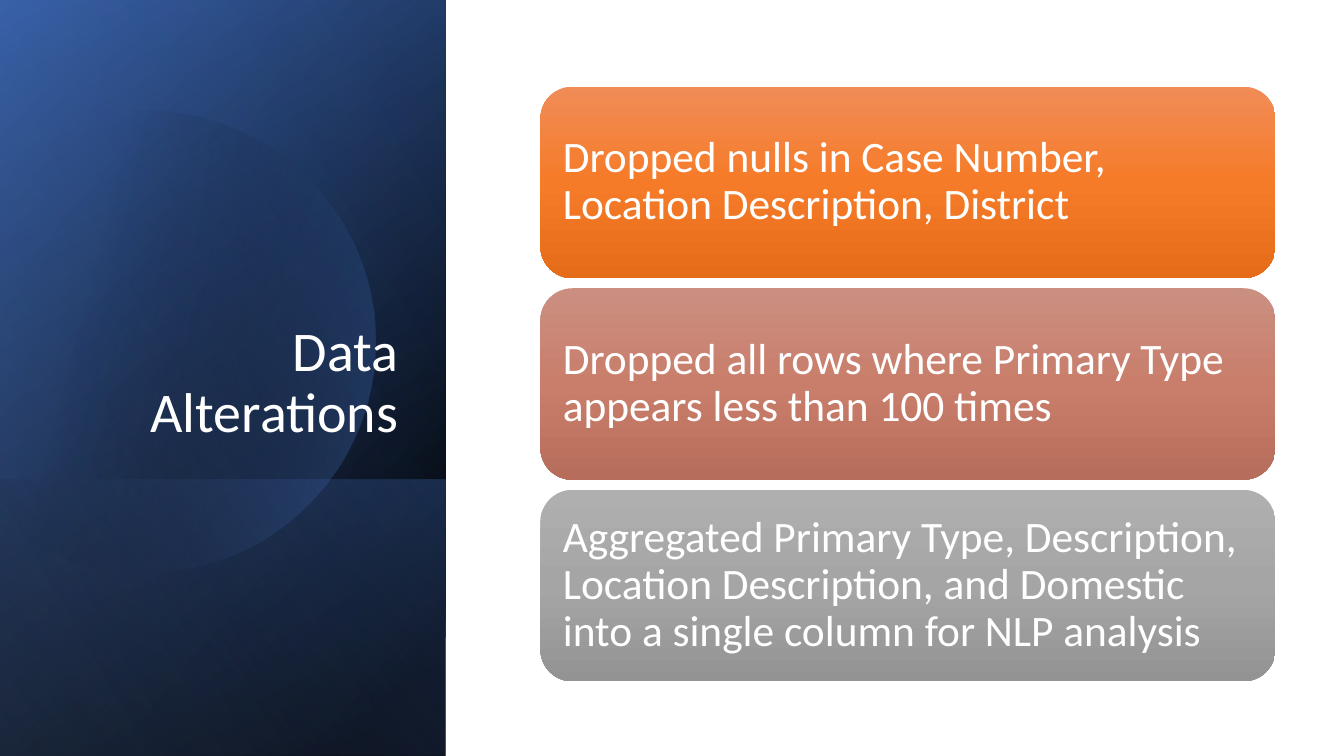
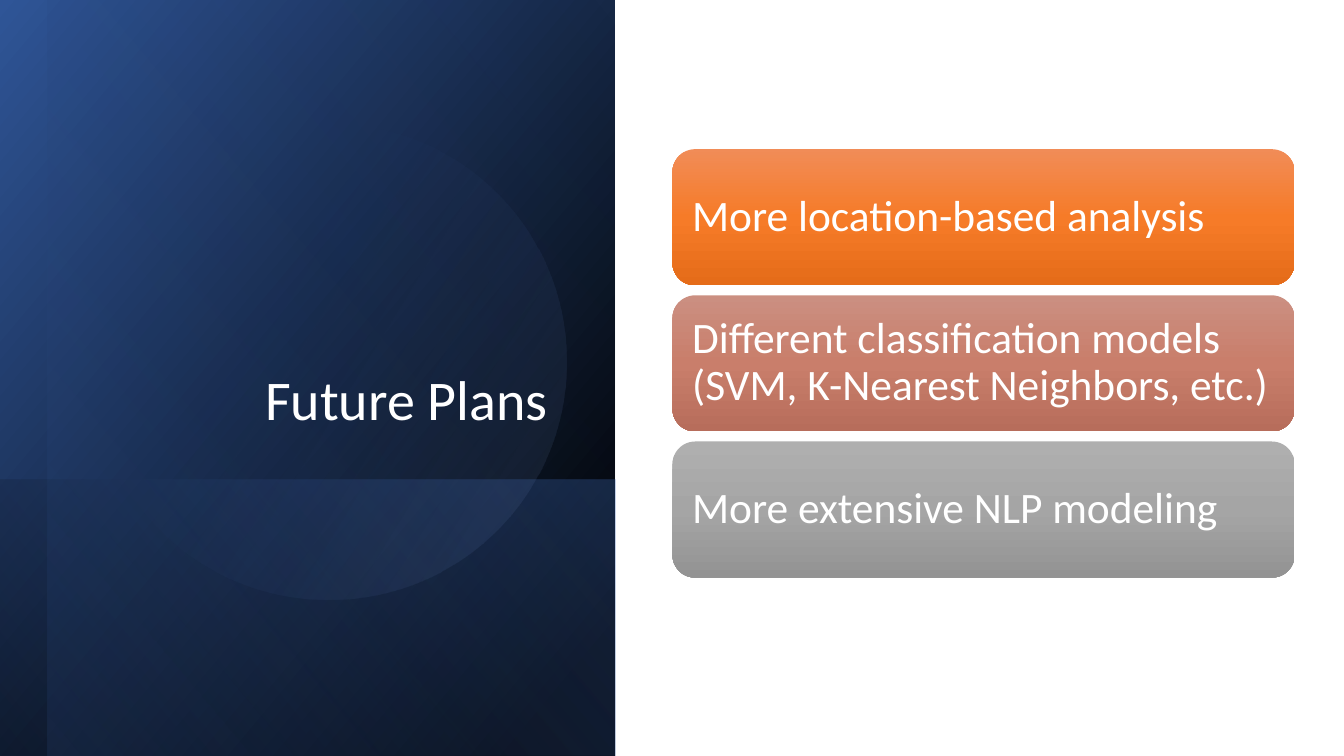
import math
import pptx
import pptx.util
import pptx.dml.color
import pptx.enum.shapes
import pptx.enum.text
import pptx.oxml
import pptx.oxml.ns
from pptx.util import Inches

SHAPES = pptx.enum.shapes.MSO_SHAPE
ANCHOR = pptx.enum.text.MSO_ANCHOR
ALIGN = pptx.enum.text.PP_ALIGN

BLACK, NAVY, BLUE, PALE_BLUE, WHITE = "000000", "2F5597", "4472C4", "8FAADC", "FFFFFF"
BASE_FADE = ([(8, BLACK, 100), (100, NAVY, 100)], 50)
BAND_FADE = ([(2, BLUE, 29), (100, BLACK, 30)], 130)
CARD_FADES = [
    ([(0, top, 100), (50, middle, 100), (100, bottom, 100)], 90)
    for top, middle, bottom in [
        ("F18C57", "F67B28", "E56C19"),
        ("CB8F81", "C97E6B", "B76D5B"),
        ("AFAFAF", "A5A5A5", "939393"),
    ]
]
BAND_TOP = 4.76
SLIDE_HEIGHT = 7.5
CARD_GAP = 0.1


def color(value):
    return pptx.dml.color.RGBColor.from_string(value)


def apply(target, values):
    for name, value in values.items():
        setattr(target, name, value)


class Deck:
    font = {"name": "Calibri"}
    line_spacing = 0.9

    def __init__(self):
        self.deck = pptx.Presentation()
        apply(self.deck, {"slide_width": Inches(13.33), "slide_height": Inches(SLIDE_HEIGHT)})
        self.page = None

    def add_page(self):
        self.page = self.deck.slides.add_slide(self.deck.slide_layouts[5])

    def paint(self, shape, fade):
        stops, angle = fade
        shape.shadow.inherit = False
        shape.line.fill.background()
        shape.fill.background()
        stop_xml = "".join(
            f'<a:gs pos="{position * 1000}"><a:srgbClr val="{value}">'
            f'<a:alpha val="{opacity * 1000}"/></a:srgbClr></a:gs>'
            for position, value, opacity in stops
        )
        gradient = pptx.oxml.parse_xml(
            f'<a:gradFill {pptx.oxml.ns.nsdecls("a")} rotWithShape="1">'
            f'<a:gsLst>{stop_xml}</a:gsLst><a:lin ang="{angle * 60000}" scaled="0"/></a:gradFill>'
        )
        properties = shape._element.spPr
        properties.replace(properties.find(pptx.oxml.ns.qn("a:noFill")), gradient)

    def shape(self, kind, left, top, width, height, fade):
        shape = self.page.shapes.add_shape(
            kind, Inches(left), Inches(top), Inches(width), Inches(height))
        self.paint(shape, fade)
        return shape

    def panel(self, left, top, width, height, fade):
        shift = (width - height) / 2
        shape = self.shape(SHAPES.RECTANGLE, left + shift, top - shift, height, width, fade)
        shape.rotation = 90
        shape._element.spPr.xfrm.set("flipH", "1")

    def disc(self, left, top, size, rotation, fade):
        self.shape(SHAPES.OVAL, left, top, size, size, fade).rotation = rotation

    def cut_disc(self, center_x, center_y, radius, cut_x, fade, steps=120):
        limit = math.acos((cut_x - center_x) / radius)
        angles = [limit * (2 * step / steps - 1) for step in range(steps + 1)]
        points = [
            (Inches(center_x + radius * math.cos(angle)),
             Inches(center_y + radius * math.sin(angle)))
            for angle in angles
        ]
        builder = self.page.shapes.build_freeform(*points[0])
        builder.add_line_segments(points[1:], close=True)
        self.paint(builder.convert_to_shape(), fade)

    def set_text(self, shape, text, size, align, frame_values):
        frame = shape.text_frame
        apply(frame, {"word_wrap": True, "auto_size": pptx.enum.text.MSO_AUTO_SIZE.NONE,
                      **frame_values})
        para = frame.paragraphs[0]
        apply(para, {"alignment": align, "line_spacing": self.line_spacing})
        span = para.add_run()
        span.text = text
        apply(span.font, {**self.font, "size": pptx.util.Pt(size)})
        span.font.color.rgb = color(WHITE)

    def title(self, text, left, top, width, height):
        box = self.page.shapes.title
        apply(box, {"left": Inches(left), "top": Inches(top),
                    "width": Inches(width), "height": Inches(height)})
        self.set_text(box, text, 40, ALIGN.RIGHT, {"vertical_anchor": ANCHOR.BOTTOM})
        self.page.shapes._spTree.append(box._element)

    def cards(self, texts, left, top, width, height):
        sides = ("left", "top", "right", "bottom")
        values = {f"margin_{side}": Inches(0.13) for side in sides}
        values["vertical_anchor"] = ANCHOR.MIDDLE
        for index, (text, fade) in enumerate(zip(texts, CARD_FADES)):
            card_top = top + index * (height + CARD_GAP)
            card = self.shape(SHAPES.ROUNDED_RECTANGLE, left, card_top, width, height, fade)
            self.set_text(card, text, 31, ALIGN.LEFT, values)


def data_alterations(deck):
    width = 4.42
    deck.add_page()
    deck.panel(0, 0, width, SLIDE_HEIGHT, BASE_FADE)
    deck.panel(0, 0, width, SLIDE_HEIGHT, ([(0, BLACK, 0), (99, BLUE, 46)], 30))
    deck.panel(0, BAND_TOP, width, SLIDE_HEIGHT - BAND_TOP, BAND_FADE)
    deck.cut_disc(1.43, 3.39, 2.29, -0.15, ([(29, BLACK, 0), (100, BLUE, 43)], 14))
    deck.panel(0, 0, width, SLIDE_HEIGHT, ([(0, BLACK, 0), (99, PALE_BLUE, 11)], 120))
    deck.title("Data Alterations", 0.64, 1.84, 3.41, 2.62)
    deck.cards([
        "Dropped nulls in Case Number, Location Description, District",
        "Dropped all rows where Primary Type appears less than 100 times",
        "Aggregated Primary Type, Description, Location Description, "
        "and Domestic into a single column for NLP analysis",
    ], 5.36, 0.86, 7.29, 1.9)


def future_plans(deck):
    width = 6.1
    deck.add_page()
    deck.panel(0, 0, width, SLIDE_HEIGHT, BASE_FADE)
    deck.panel(0, BAND_TOP, width, SLIDE_HEIGHT - BAND_TOP, BAND_FADE)
    deck.panel(0.47, 0, 5.63, SLIDE_HEIGHT, ([(0, BLACK, 0), (99, BLUE, 11)], 130))
    deck.disc(0.9, 1.23, 4.72, 101.6, ([(39, BLUE, 0), (100, PALE_BLUE, 15)], 290))
    deck.title("Future Plans", 0.9, 0.64, 4.63, 3.7)
    deck.cards([
        "More location-based analysis",
        "Different classification models (SVM, K-Nearest Neighbors, etc.)",
        "More extensive NLP modeling",
    ], 6.67, 1.48, 6.17, 1.35)


deck = Deck()
data_alterations(deck)
future_plans(deck)
deck.deck.save("out.pptx")
